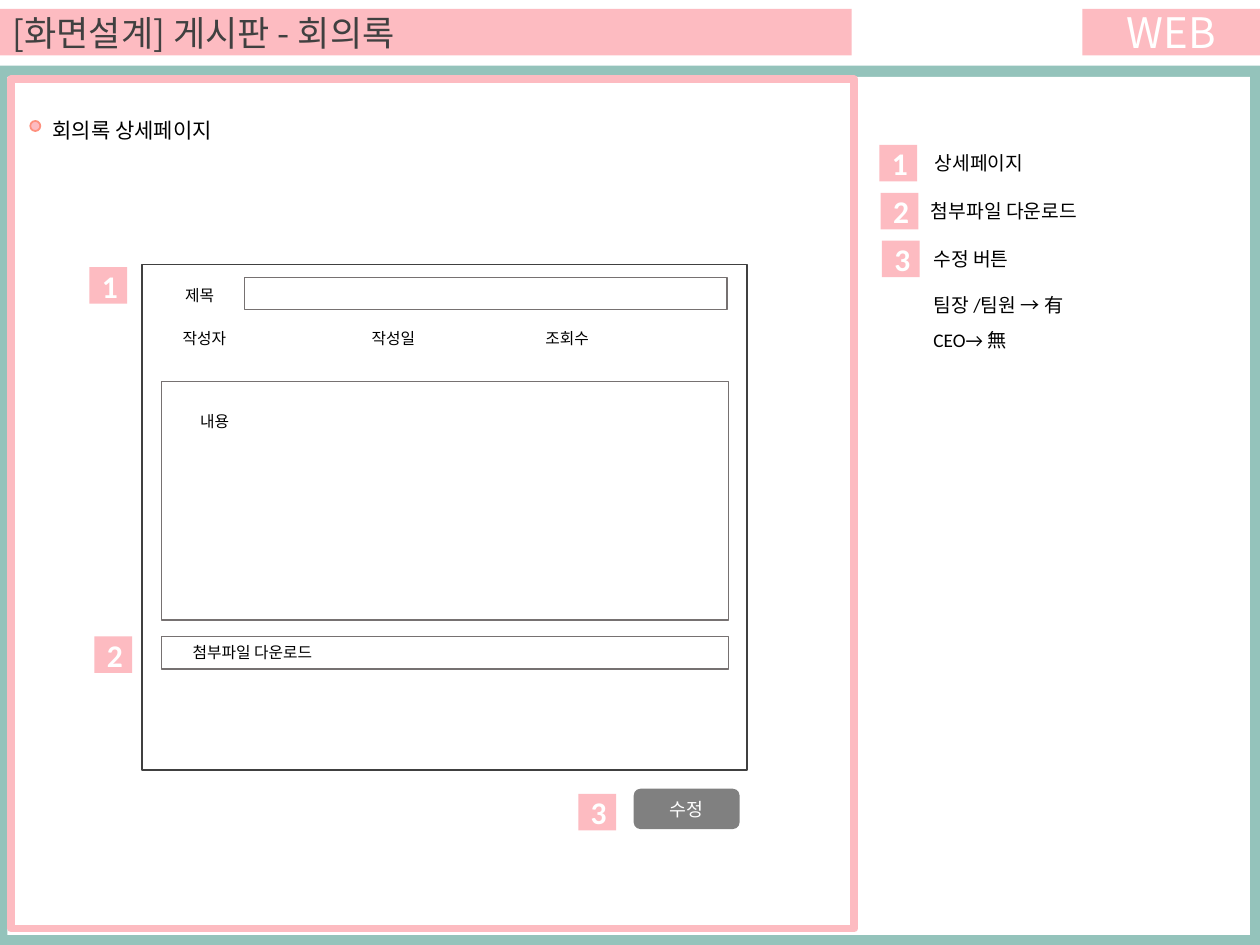
from dataclasses import dataclass

from lxml import etree
from pptx import Presentation
from pptx.dml.color import RGBColor
from pptx.enum.shapes import MSO_SHAPE
from pptx.enum.text import MSO_ANCHOR, MSO_AUTO_SIZE, PP_ALIGN
from pptx.oxml.ns import qn
from pptx.util import Inches, Pt

RECT, OVAL, ROUND = MSO_SHAPE.RECTANGLE, MSO_SHAPE.OVAL, MSO_SHAPE.ROUNDED_RECTANGLE
LEFT, CENTER = PP_ALIGN.LEFT, PP_ALIGN.CENTER
MIDDLE, NO_FIT = MSO_ANCHOR.MIDDLE, MSO_AUTO_SIZE.NONE
TITLE_ONLY = 5


@dataclass(frozen=True)
class Theme:
    """Colours, fonts and type sizes of the deck."""
    pink: str = "FDBBC1"
    coral: str = "FE907E"
    teal: str = "94C3BB"
    white: str = "FFFFFF"
    black: str = "000000"
    dark: str = "404040"
    gray: str = "767171"
    button: str = "808080"
    latin: str = "Calibri"
    korean: str = "Noto Sans CJK KR"
    tag: float = 24
    title: float = 20
    badge: float = 18
    heading: float = 12
    legend: float = 11
    action: float = 10.5
    field: float = 9


T = Theme()


def style(p, size, color, font=T.latin, align=LEFT, bold=False):
    """Set the alignment and font of a paragraph."""
    p.alignment = align
    p.font.size, p.font.bold = Pt(size), bold
    p.font.color.rgb = RGBColor.from_string(color)
    p.font.name = font
    latin = p._p.pPr.find(qn("a:defRPr")).find(qn("a:latin"))
    ea = etree.Element(qn("a:ea"), typeface=T.korean)
    latin.addnext(ea)


def add_box(s, x, y, w, h, fill=None, line=None, width=1, kind=RECT):
    """Add a flat shape with an optional fill and outline."""
    sp = s.shapes.add_shape(kind, Inches(x), Inches(y), Inches(w), Inches(h))
    sp.shadow.inherit = False
    if fill:
        sp.fill.solid()
        sp.fill.fore_color.rgb = RGBColor.from_string(fill)
    else:
        sp.fill.background()
    if line:
        sp.line.color.rgb = RGBColor.from_string(line)
        sp.line.width = Pt(width)
    else:
        sp.line.fill.background()
    return sp


def add_caption(sp, text, size, font=T.korean, bold=False):
    """Centre white text in a shape."""
    tf = sp.text_frame
    tf.vertical_anchor = MIDDLE
    tf.text = text
    style(tf.paragraphs[0], size, T.white, font, CENTER, bold)


def add_label(s, x, y, w, h, text, size, wrap=True, spacing=None):
    """Add a black text box with one paragraph per line."""
    sp = s.shapes.add_textbox(Inches(x), Inches(y), Inches(w), Inches(h))
    tf = sp.text_frame
    tf.word_wrap = wrap
    tf.text = text
    for p in tf.paragraphs:
        style(p, size, T.black)
        if spacing:
            p.line_spacing = spacing


def add_badge(s, x, y, number):
    """Add a numbered pink square."""
    add_caption(add_box(s, x, y, 0.3, 0.29, T.pink), str(number), T.badge, T.latin, True)


def add_header(s, x, y, w, h):
    """Place the title bar and the platform tag."""
    sp = s.shapes.title
    sp.left, sp.top, sp.width, sp.height = Inches(x), Inches(y), Inches(6.76), Inches(h)
    sp.fill.solid()
    sp.fill.fore_color.rgb = RGBColor.from_string(T.pink)
    tf = sp.text_frame
    tf.text = "[화면설계] 게시판 - 회의록"
    tf.vertical_anchor, tf.auto_size = MIDDLE, NO_FIT
    style(tf.paragraphs[0], T.title, T.dark, T.korean)
    tag = add_box(s, x + w - 1.41, y, 1.41, h, T.pink)
    add_caption(tag, "WEB", T.tag)


def add_frame(s, x, y, w, h):
    """Place the teal border, the white page and the pink outline."""
    add_box(s, x, y, w, h, T.teal)
    add_box(s, x + 0.06, y + 0.09, w - 0.14, h - 0.17, T.white)
    add_box(s, x + 0.09, y + 0.11, 6.69, h - 0.24, line=T.pink, width=4.5)


def add_heading(s, x, y, w, h):
    """Place the dot and the page heading."""
    add_box(s, x, y + 0.08, 0.08, 0.08, T.pink, T.coral, kind=OVAL)
    add_label(s, x + 0.08, y, w, h, "회의록 상세페이지", T.heading)


def add_form(s, x, y, w, h):
    """Place the form wireframe with its fields, badges and button."""
    add_box(s, x, y, w, h, line=T.dark)
    fields = [(0.81, 0.1, 3.83, 0.26), (0.15, 0.93, 4.5, 1.89), (0.15, 2.95, 4.5, 0.26)]
    for dx, dy, fw, fh in fields:
        add_box(s, x + dx, y + dy, fw, fh, line=T.gray, width=0.75)
    labels = [(0.24, 0.12, 0.45, "제목"), (0.22, 0.46, 0.61, "작성자"),
              (1.72, 0.46, 0.58, "작성일"), (3.1, 0.46, 0.58, "조회수"),
              (0.36, 1.12, 0.45, "내용"), (0.3, 2.95, 1.24, "첨부파일 다운로드")]
    for dx, dy, lw, text in labels:
        add_label(s, x + dx, y + dy, lw, 0.25, text, T.field, wrap=False)
    button = add_box(s, x + 3.9, y + h + 0.15, 0.84, 0.32, T.button, kind=ROUND)
    add_caption(button, "수정", T.action)
    badges = [(-0.42, 0.02), (-0.38, 2.95), (3.46, h + 0.19)]
    for number, (dx, dy) in enumerate(badges, 1):
        add_badge(s, x + dx, y + dy, number)


def add_legend(s, x, y, w, pitch):
    """Place the numbered notes and the permission lines."""
    notes = [(0.34, "상세페이지"), (0.31, "첨부파일 다운로드"), (0.33, "수정 버튼")]
    for i, (dx, text) in enumerate(notes):
        add_badge(s, x + 0.01 * i, y + pitch * i, i + 1)
        add_label(s, x + dx, y + pitch * i, w, 0.29, text, T.legend)
    add_label(s, x + 0.33, y + 1.04, 1.71, 0.63, "팀장 /팀원 → 有\nCEO→ 無", T.legend, spacing=1.5)


def main():
    """Build the slide and save it."""
    prs = Presentation()
    prs.slide_width, prs.slide_height = Inches(10), Inches(7.5)
    s = prs.slides.add_slide(prs.slide_layouts[TITLE_ONLY])
    add_header(s, 0, 0.07, 10, 0.37)
    add_frame(s, 0, 0.52, 10, 6.98)
    add_heading(s, 0.24, 0.88, 3.86, 0.3)
    add_form(s, 1.13, 2.1, 4.8, 4.01)
    add_legend(s, 6.98, 1.15, 2.76, 0.38)
    prs.save("out.pptx")


if __name__ == "__main__":
    main()
